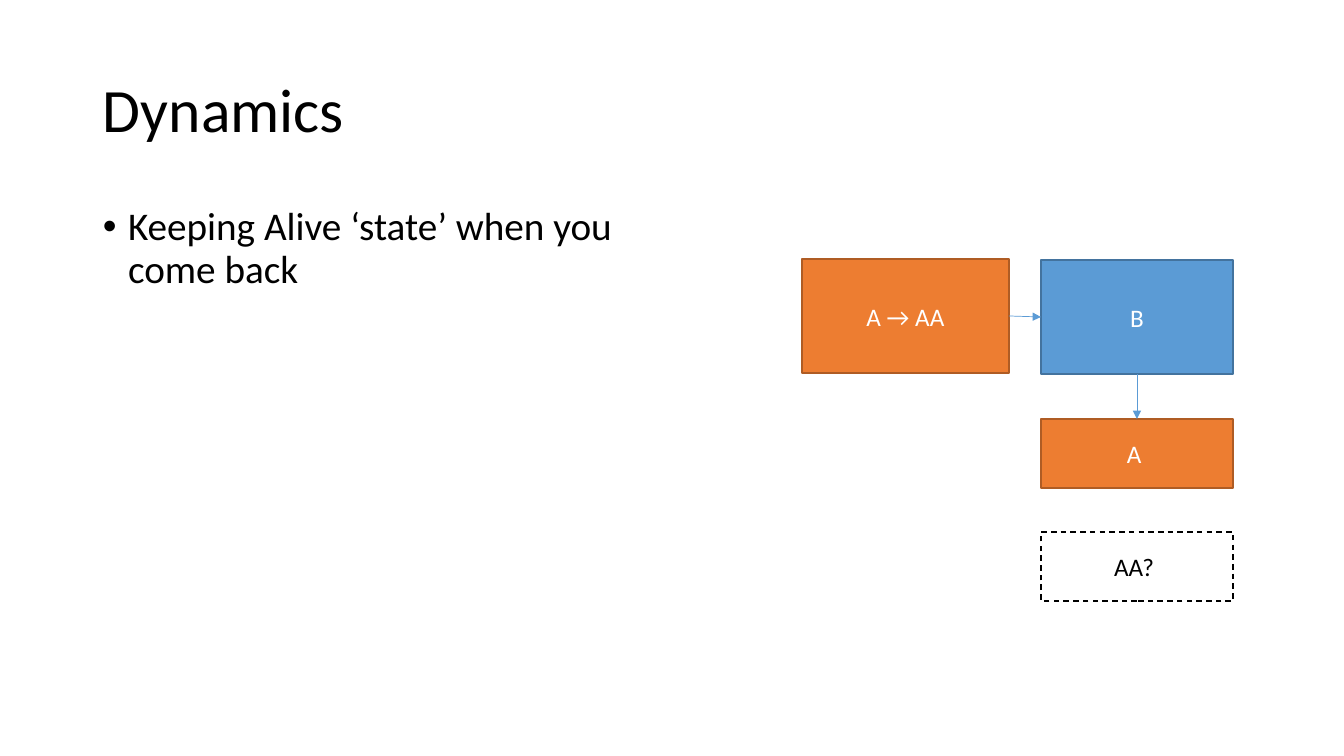
"""Build the Dynamics slide: one bullet beside a small state diagram."""
from lxml.etree import SubElement
from pptx import Presentation
from pptx.dml.color import RGBColor
from pptx.enum.dml import MSO_LINE
from pptx.enum.shapes import MSO_CONNECTOR, MSO_SHAPE
from pptx.enum.text import MSO_ANCHOR, PP_ALIGN
from pptx.oxml.ns import qn
from pptx.util import Pt

FONT = "Calibri"
BLACK, WHITE = "000000", "FFFFFF"
ORANGE, BLUE = ("ED7D31", "AF5C24", WHITE), ("5B9BD5", "43739E", WHITE)
OUTLINED = (WHITE, BLACK, BLACK)
ARROW = "5B9BD5"
BOTTOM, RIGHT, TOP, LEFT = 2, 3, 0, 1

TITLE = ("Dynamics ", (93, 40, 1159, 146), 44)
BULLET = ("Keeping Alive ‘state’ when you come back ", (93, 202, 572, 480), 28)
COLUMN, WIDTH = 1041, 192
STATES = {
    "start": ("A → AA", (802, 259, 207, 114), ORANGE),
    "next": ("B", (COLUMN, 260, WIDTH, 114), BLUE),
    "back": ("A ", (COLUMN, 419, WIDTH, 69), ORANGE),
    "kept": ("AA? ", (COLUMN, 532, WIDTH, 69), OUTLINED),
}
MOVES = [("start", RIGHT, "next", LEFT), ("next", BOTTOM, "back", TOP)]


def px(length):
    return round(length * 914400 / 100.8)


def color(value):
    return RGBColor.from_string(value)


def write(owner, text, size, ink, anchor, align=PP_ALIGN.LEFT):
    frame = owner.text_frame
    frame.word_wrap = True
    frame.vertical_anchor = anchor
    paragraph = frame.paragraphs[0]
    paragraph.alignment = align
    run = paragraph.add_run()
    run.text = text
    run.font.name, run.font.size = FONT, Pt(size)
    run.font.color.rgb = color(ink)
    return paragraph


def add_text(text, place, size, anchor):
    box = slide.shapes.add_textbox(*map(px, place))
    paragraph = write(box, text, size, BLACK, anchor)
    paragraph.line_spacing = 0.9
    return paragraph


def add_state(text, place, style):
    fill, edge, ink = style
    state = slide.shapes.add_shape(MSO_SHAPE.RECTANGLE, *map(px, place))
    state.shadow.inherit = False
    state.fill.solid()
    state.fill.fore_color.rgb = color(fill)
    state.line.color.rgb = color(edge)
    state.line.width = Pt(1)
    if style is OUTLINED:
        state.line.dash_style = MSO_LINE.DASH
    write(state, text, 18, ink, MSO_ANCHOR.MIDDLE, PP_ALIGN.CENTER)
    return state


def add_move(source, exit_side, target, entry_side):
    move = slide.shapes.add_connector(MSO_CONNECTOR.STRAIGHT, 0, 0, 0, 0)
    move.begin_connect(source, exit_side)
    move.end_connect(target, entry_side)
    move.line.color.rgb = color(ARROW)
    move.line.width = Pt(0.5)
    SubElement(move.line._get_or_add_ln(), qn("a:tailEnd"), type="triangle")
    SubElement(move._element.spPr, qn("a:effectLst"))


deck = Presentation()
deck.slide_width, deck.slide_height = px(1344), px(756)
slide = deck.slides.add_slide(deck.slide_layouts[6])

add_text(*TITLE, MSO_ANCHOR.MIDDLE)
bullet = add_text(*BULLET, MSO_ANCHOR.TOP)
bullet.space_before = Pt(10)
layout = bullet._p.get_or_add_pPr()
layout.set("marL", str(Pt(18)))
layout.set("indent", str(-Pt(18)))
SubElement(layout, qn("a:buFont"), typeface="Arial")
SubElement(layout, qn("a:buChar"), char="•")

states = {key: add_state(*state) for key, state in STATES.items()}
for source, exit_side, target, entry_side in MOVES:
    add_move(states[source], exit_side, states[target], entry_side)

deck.save("out.pptx")
